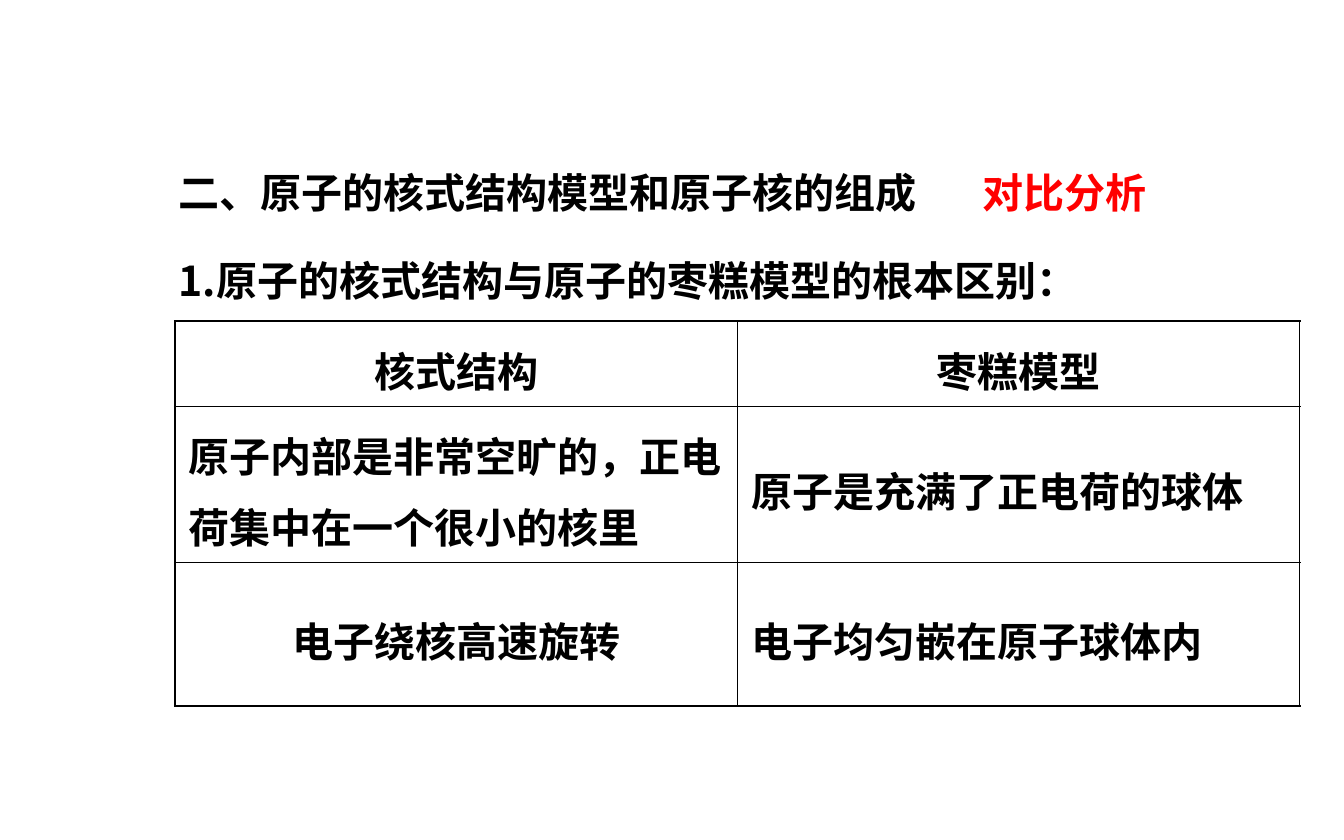
from lxml.etree import SubElement
from pptx import Presentation
from pptx.dml.color import RGBColor
from pptx.enum.text import MSO_ANCHOR, MSO_AUTO_SIZE, PP_ALIGN
from pptx.oxml.ns import qn
from pptx.util import Inches, Pt

BLACK = RGBColor(0x00, 0x00, 0x00)
RED = RGBColor(0xFF, 0x00, 0x00)
FONT = "Noto Sans CJK SC"
OUTER, INNER = Pt(1.08), Pt(0.45)


def add_run(p, text, color=BLACK):
    r = p.add_run()
    r.text = text
    r.font.size = Pt(22)
    r.font.bold = True
    r.font.name = FONT
    r.font.color.rgb = color
    SubElement(r._r.get_or_add_rPr(), qn("a:ea"), typeface=FONT)


def add_border(cell, side, width):
    ln = SubElement(cell._tc.get_or_add_tcPr(), qn("a:" + side), w=str(width))
    fill = SubElement(ln, qn("a:solidFill"))
    SubElement(fill, qn("a:srgbClr"), val=str(BLACK))


prs = Presentation()
prs.slide_width, prs.slide_height = Inches(10), Inches(6.25)
s = prs.slides.add_slide(prs.slide_layouts[5])

title = s.shapes.title
title.left, title.top = Inches(1.23), Inches(0.9)
title.width, title.height = Inches(8.55), Inches(1.42)
tf = title.text_frame
tf.word_wrap = True
tf.auto_size = MSO_AUTO_SIZE.NONE
tf.vertical_anchor = MSO_ANCHOR.TOP
headings = [
    [("二、原子的核式结构模型和原子核的组成\t", BLACK), ("对比分析", RED)],
    [("1.原子的核式结构与原子的枣糕模型的根本区别：", BLACK)],
]
for i, runs in enumerate(headings):
    p = tf.paragraphs[0] if i == 0 else tf.add_paragraph()
    p.alignment = PP_ALIGN.LEFT
    p.line_spacing = 1.8
    p.space_before = Pt(0)
    tabs = SubElement(p._p.get_or_add_pPr(), qn("a:tabLst"))
    SubElement(tabs, qn("a:tab"), pos=str(Inches(5.98)), algn="l")
    for text, color in runs:
        add_run(p, text, color)

rows = [
    ("核式结构", "枣糕模型"),
    ("原子内部是非常空旷的，正电荷集中在一个很小的核里", "原子是充满了正电荷的球体"),
    ("电子绕核高速旋转", "电子均匀嵌在原子球体内"),
]
centered = {(0, 0), (0, 1), (2, 0)}
table = s.shapes.add_table(3, 2, Inches(1.3), Inches(2.39), Inches(8.37), Inches(2.74)).table
table.first_row = table.horz_banding = False
for col, width in zip(table.columns, (4.19, 4.18)):
    col.width = Inches(width)
for row, height in zip(table.rows, (0.6, 1.07, 1.07)):
    row.height = Inches(height)

for i, texts in enumerate(rows):
    for j, text in enumerate(texts):
        cell = table.cell(i, j)
        cell.vertical_anchor = MSO_ANCHOR.MIDDLE
        edges = {"lnL": j == 0, "lnR": j == 1, "lnT": i == 0, "lnB": i == 2}
        for side, is_outer in edges.items():
            add_border(cell, side, OUTER if is_outer else INNER)
        cell.fill.background()
        p = cell.text_frame.paragraphs[0]
        p.alignment = PP_ALIGN.CENTER if (i, j) in centered else PP_ALIGN.LEFT
        p.line_spacing = 1.2
        add_run(p, text)

prs.save("out.pptx")
